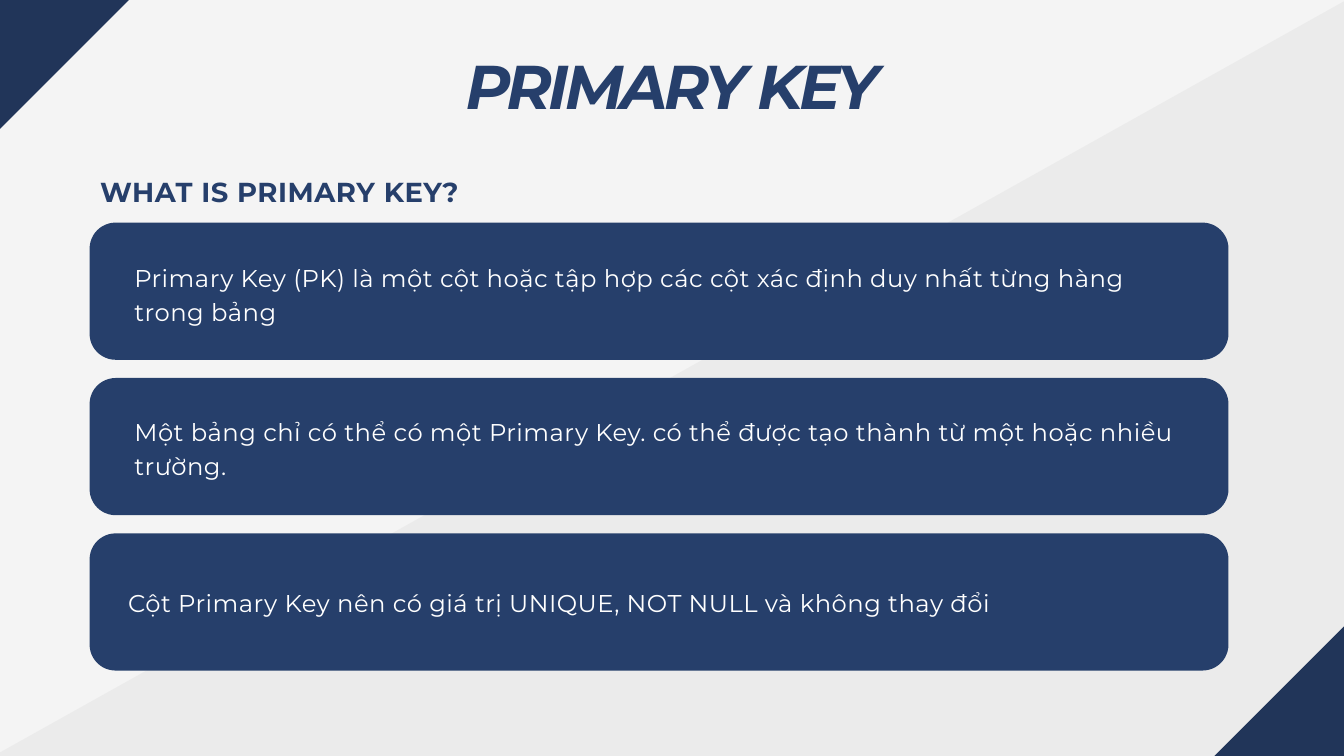
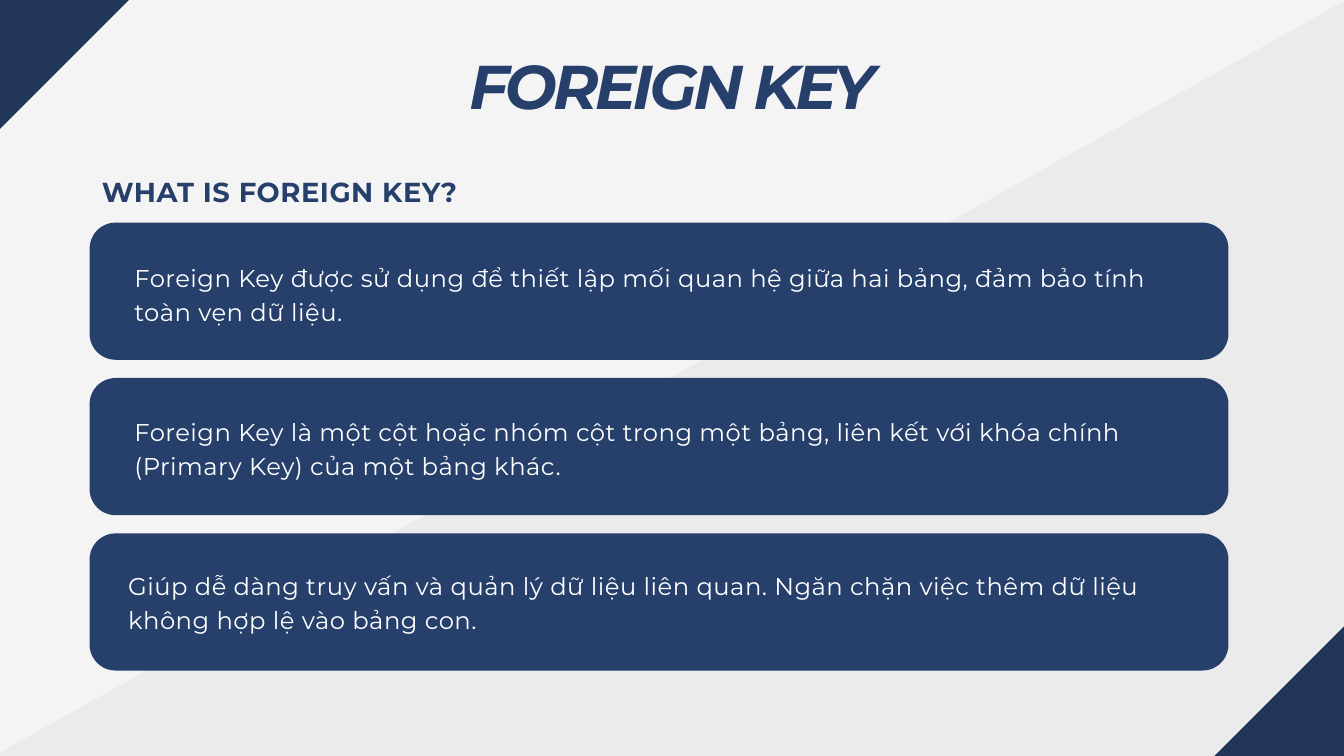
from lxml.etree import SubElement
from pptx import Presentation
from pptx.dml.color import RGBColor
from pptx.enum.shapes import MSO_SHAPE
from pptx.enum.text import MSO_ANCHOR, MSO_AUTO_SIZE, PP_ALIGN
from pptx.oxml.ns import qn
from pptx.util import Pt

EMU_PER_PX = 9525
WIDTH, HEIGHT = 1920, 1080
TITLE_ONLY = 5
COLORS = {
    "background": "F4F4F4",
    "shade": "545454",
    "corner": "213559",
    "navy": "263F6B",
    "white": "FFFFFF",
}
CARD_LEFT, CARD_TOP, CARD_WIDTH, CARD_HEIGHT = 128, 318, 1627, 196
CARD_STEP = 222
TEXT_LEFTS = (192, 192, 183)
TEXT_WIDTH, TEXT_CENTER, TEXT_STEP = 1514, 416, 220
TEXT_HEIGHTS = {1: 46, 2: 94}

SLIDES = [
    {
        "title": "PRIMARY KEY",
        "heading": "WHAT IS PRIMARY KEY?",
        "cards": [
            ("Primary Key (PK) là một cột hoặc tập hợp các cột xác định duy nhất từng hàng trong bảng", 2),
            ("Một bảng chỉ có thể có một Primary Key. có thể được tạo thành từ một hoặc nhiều trường.", 2),
            ("Cột Primary Key nên có giá trị UNIQUE, NOT NULL và không thay đổi", 1),
        ],
    },
    {
        "title": "FOREIGN KEY",
        "heading": "WHAT IS FOREIGN KEY?",
        "cards": [
            ("Foreign Key được sử dụng để thiết lập mối quan hệ giữa hai bảng, đảm bảo tính toàn vẹn dữ liệu.", 2),
            ("Foreign Key là một cột hoặc nhóm cột trong một bảng, liên kết với khóa chính (Primary Key) của một bảng khác.", 2),
            ("Giúp dễ dàng truy vấn và quản lý dữ liệu liên quan. Ngăn chặn việc thêm dữ liệu không hợp lệ vào bảng con.", 2),
        ],
    },
]


def px(*lengths):
    return [length * EMU_PER_PX for length in lengths]


def color(name):
    return RGBColor.from_string(COLORS[name])


def write_text(shape, text, *, size, line, spacing, ink="navy", bold=False,
               italic=False, align=PP_ALIGN.LEFT):
    frame = shape.text_frame
    frame.word_wrap = True
    frame.auto_size = MSO_AUTO_SIZE.SHAPE_TO_FIT_TEXT
    frame.vertical_anchor = MSO_ANCHOR.TOP
    frame.margin_left = frame.margin_right = 0
    frame.margin_top = frame.margin_bottom = 0
    paragraph = frame.paragraphs[0]
    paragraph.alignment = align
    paragraph.line_spacing = Pt(line)
    run = paragraph.add_run()
    run.text = text
    font = run.font
    font.name = "Montserrat"
    font.size = Pt(size)
    font.bold = bold
    font.italic = italic
    font.color.rgb = color(ink)
    run._r.get_or_add_rPr().set("spc", str(round(spacing * 100)))


class Deck:
    def __init__(self):
        self.presentation = Presentation()
        self.presentation.slide_width, self.presentation.slide_height = px(WIDTH, HEIGHT)
        fill = self.presentation.slide_master.background.fill
        fill.solid()
        fill.fore_color.rgb = color("background")
        self.slide = None

    def new_slide(self):
        layout = self.presentation.slide_layouts[TITLE_ONLY]
        self.slide = self.presentation.slides.add_slide(layout)
        self.block(-117, 457, 2707, 1006, "shade", rotation=330.8, opacity=5)
        for left, top in ((-278, -131), (1642, 949)):
            self.block(left, top, 556, 261, "corner", rotation=315)

    def block(self, left, top, width, height, fill, *, kind=MSO_SHAPE.RECTANGLE,
              rotation=0, opacity=100):
        shape = self.slide.shapes.add_shape(kind, *px(left, top, width, height))
        shape.shadow.inherit = False
        shape.rotation = rotation
        shape.line.fill.background()
        shape.fill.solid()
        shape.fill.fore_color.rgb = color(fill)
        if opacity < 100:
            tint = shape._element.spPr.find(qn("a:solidFill"))[0]
            SubElement(tint, qn("a:alpha")).set("val", str(opacity * 1000))
        return shape

    def title(self, text):
        shape = self.slide.shapes.title
        shape.left, shape.top, shape.width, shape.height = px(400, 88, 1120, 90)
        write_text(shape, text, size=66.2, line=64.9, spacing=-3.9, bold=True,
                   italic=True, align=PP_ALIGN.CENTER)

    def text_box(self, text, left, top, width, height, **style):
        box = self.slide.shapes.add_textbox(*px(left, top, width, height))
        write_text(box, text, **style)

    def heading(self, text):
        self.text_box(text, 141, 223, 517, 66, size=29.4, line=55.9, spacing=0.6,
                      bold=True, align=PP_ALIGN.CENTER)

    def card(self, row, text, lines):
        shape = self.block(CARD_LEFT, CARD_TOP + row * CARD_STEP, CARD_WIDTH,
                           CARD_HEIGHT, "navy", kind=MSO_SHAPE.ROUNDED_RECTANGLE)
        shape.adjustments[0] = 0.19
        height = TEXT_HEIGHTS[lines]
        top = TEXT_CENTER + row * TEXT_STEP - height // 2
        self.text_box(text, TEXT_LEFTS[row], top, TEXT_WIDTH, height,
                      size=26, line=36.4, spacing=0.5, ink="white")


def main():
    deck = Deck()
    for content in SLIDES:
        deck.new_slide()
        deck.title(content["title"])
        deck.heading(content["heading"])
        for row, (text, lines) in enumerate(content["cards"]):
            deck.card(row, text, lines)
    deck.presentation.save("out.pptx")


if __name__ == "__main__":
    main()
